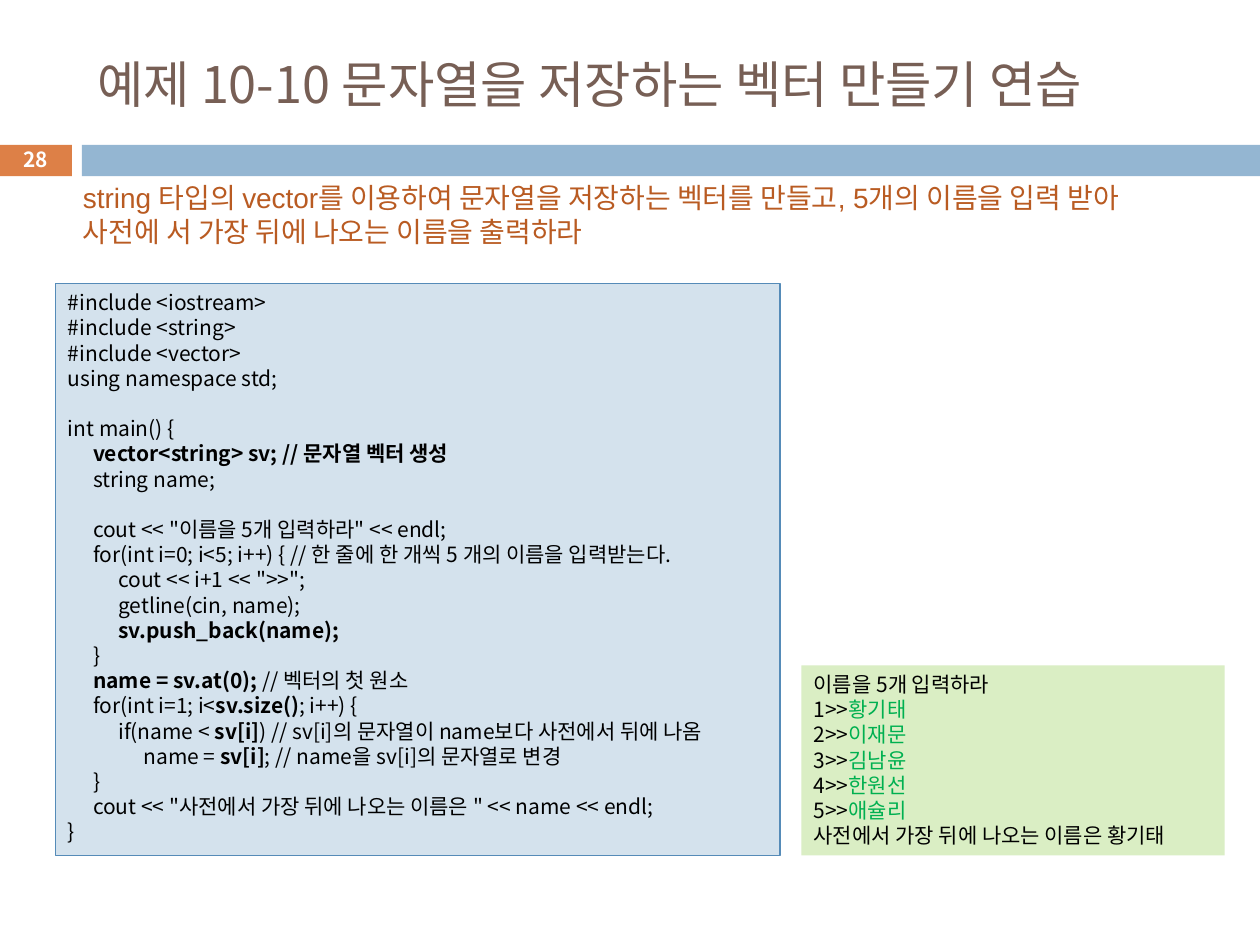
from lxml import etree
from pptx import Presentation
from pptx.dml.color import RGBColor
from pptx.enum.shapes import MSO_SHAPE
from pptx.enum.text import MSO_ANCHOR, MSO_AUTO_SIZE, PP_ALIGN
from pptx.oxml.ns import qn
from pptx.util import Inches, Pt

RECT = MSO_SHAPE.RECTANGLE
TOP, MIDDLE = MSO_ANCHOR.TOP, MSO_ANCHOR.MIDDLE
LEFT, CENTER = PP_ALIGN.LEFT, PP_ALIGN.CENTER
NO_FIT = MSO_AUTO_SIZE.NONE

ORANGE = RGBColor(0xDD, 0x80, 0x47)
BLUE = RGBColor(0x94, 0xB6, 0xD2)
PALE_BLUE = RGBColor(0xD4, 0xE2, 0xED)
EDGE_BLUE = RGBColor(0x55, 0x8B, 0xB8)
PALE_GREEN = RGBColor(0xDA, 0xEE, 0xC4)
GREEN = RGBColor(0x00, 0xB0, 0x50)
BROWN = RGBColor(0x77, 0x5F, 0x55)
RUST = RGBColor(0xB9, 0x5B, 0x22)
BLACK = RGBColor(0, 0, 0)
WHITE = RGBColor(0xFF, 0xFF, 0xFF)

CODE = """#include <iostream>
#include <string>
#include <vector>
using namespace std;

int main() {
\t**vector<string> sv; // 문자열 벡터 생성**
\tstring name;

\tcout << "이름을 5개 입력하라" << endl;
\tfor(int i=0; i<5; i++) { // 한 줄에 한 개씩 5 개의 이름을 입력받는다.
\t\tcout << i+1 << ">>";
\t\tgetline(cin, name);
\t\t**sv.push_back(name);**
\t}
\t**name = sv.at(0); **// 벡터의 첫 원소
\tfor(int i=1; i<**sv.size()**; i++) {
\t\tif(name < **sv[i]**) // sv[i]의 문자열이 name보다 사전에서 뒤에 나옴
\t\t\tname = **sv[i]**; // name을 sv[i]의 문자열로 변경
\t}
\tcout << "사전에서 가장 뒤에 나오는 이름은 " << name << endl;
}"""

OUTPUT = """이름을 5개 입력하라
1>>**황기태**
2>>**이재문**
3>>**김남윤**
4>>**한원선**
5>>**애슐리**
사전에서 가장 뒤에 나오는 이름은 황기태"""

TASK = ("string 타입의 vector를 이용하여 문자열을 저장하는 벡터를 만들고, "
        "5개의 이름을 입력 받아 사전에 서 가장 뒤에 나오는 이름을 출력하라")


class Deck:
    font = "Noto Sans CJK KR"
    tab = 0.2

    def __init__(self, width, height):
        self.prs = Presentation()
        self.prs.slide_width = Inches(width)
        self.prs.slide_height = Inches(height)
        self.s = self.prs.slides.add_slide(self.prs.slide_layouts[5])

    def place(self, x, y, w, h):
        across, down = self.prs.slide_width / 100, self.prs.slide_height / 100
        return int(x * across), int(y * down), int(w * across), int(h * down)

    def add_tabs(self, p):
        tabs = etree.SubElement(p._p.get_or_add_pPr(), qn("a:tabLst"))
        for i in range(1, 4):
            etree.SubElement(tabs, qn("a:tab"), pos=str(Inches(i * self.tab)), algn="l")

    def fill_text(self, sp, text, size, color, bold=False, align=LEFT, anchor=TOP,
                  latin=None, pitch=None, accent=None):
        tf = sp.text_frame
        tf.word_wrap = True
        tf.auto_size = NO_FIT
        tf.vertical_anchor = anchor
        for i, line in enumerate(text.split("\n")):
            p = tf.add_paragraph() if i else tf.paragraphs[0]
            p.alignment = align
            if pitch:
                p.line_spacing = Pt(pitch)
            if "\t" in line:
                self.add_tabs(p)
            p.font.size = Pt(size)
            p.font.bold = bold
            p.font.color.rgb = color
            p.font.name = latin or self.font
            etree.SubElement(p.font._element, qn("a:ea"), typeface=self.font)
            for j, part in enumerate(line.split("**")):
                if part:
                    r = p.add_run()
                    r.text = part
                    if j % 2 and accent:
                        r.font.color.rgb = accent
                    elif j % 2:
                        r.font.bold = True

    def title(self, at, text, size, color):
        sp = self.s.shapes.title
        sp.left, sp.top, sp.width, sp.height = self.place(*at)
        self.fill_text(sp, text, size, color, anchor=MIDDLE)

    def box(self, at, fill, line=None):
        sp = self.s.shapes.add_shape(RECT, *self.place(*at))
        sp.shadow.inherit = False
        sp.fill.solid()
        sp.fill.fore_color.rgb = fill
        if line is None:
            sp.line.fill.background()
        else:
            sp.line.color.rgb = line
            sp.line.width = Pt(0.75)
        return sp

    def text(self, at, text, size, color, **style):
        sp = self.s.shapes.add_textbox(*self.place(*at))
        self.fill_text(sp, text, size, color, **style)

    def listing(self, at, text, fill, line=None, accent=None):
        sp = self.box(at, fill, line)
        self.fill_text(sp, text, 12, BLACK, pitch=14.4, accent=accent)


def main():
    deck = Deck(10, 7.5)
    deck.box((-0.1, 15.33, 5.8, 3.33), ORANGE)
    deck.box((6.5, 15.33, 93.5, 3.33), BLUE)
    deck.title((6.7, 3.33, 89.2, 10.93),
               "예제 10-10 문자열을 저장하는 벡터 만들기 연습", 28.8, BROWN)
    deck.text((-0.1, 15.07, 5.8, 3.6), "28", 11.9, WHITE,
              bold=True, align=CENTER, anchor=MIDDLE)
    deck.listing((4.4, 30, 57.5, 60.53), CODE, PALE_BLUE, line=EDGE_BLUE)
    deck.listing((63.6, 70.4, 33.6, 20.13), OUTPUT, PALE_GREEN, accent=GREEN)
    deck.text((5.6, 18.4, 87.6, 8.53), TASK, 16, RUST, latin="Arial", pitch=19.4)
    deck.prs.save("out.pptx")


if __name__ == "__main__":
    main()
